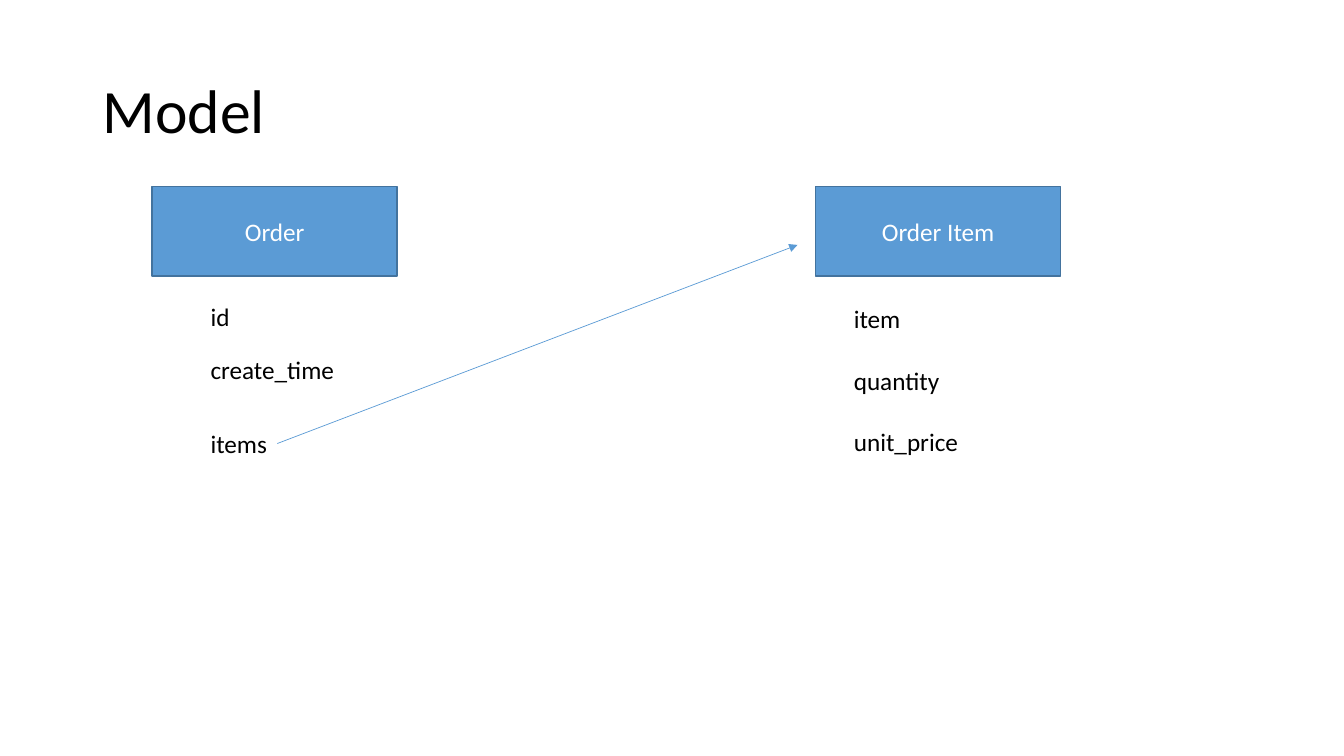
from dataclasses import dataclass
from lxml.etree import SubElement as Sub
from pptx import Presentation
from pptx.dml.color import RGBColor as Rgb
from pptx.enum.shapes import MSO_CONNECTOR as Link, MSO_SHAPE as Kind
from pptx.enum.text import MSO_ANCHOR as Anchor, MSO_AUTO_SIZE as Fit, PP_ALIGN as Align
from pptx.oxml.ns import qn
from pptx.util import Inches, Pt


@dataclass(frozen=True)
class Theme:
    font: str = "Calibri"
    ink: str = "000000"
    white: str = "FFFFFF"
    blue: str = "5B9BD5"
    edge: str = "43739E"
    head: int = 44
    body: int = 18


class Board:
    def __init__(self, slide, theme):
        self.slide = slide
        self.theme = theme

    def add_text(self, frame, text, size, color, align=Align.LEFT):
        para = frame.paragraphs[0]
        para.alignment = align
        run = para.add_run()
        run.text = text
        run.font.name = self.theme.font
        run.font.size = Pt(size)
        run.font.color.rgb = Rgb.from_string(color)
        return para

    def title(self, text, x, y, w, h):
        shape = self.slide.shapes.title
        shape.left, shape.top = Inches(x), Inches(y)
        shape.width, shape.height = Inches(w), Inches(h)
        frame = shape.text_frame
        frame.vertical_anchor = Anchor.MIDDLE
        para = self.add_text(frame, text, self.theme.head, self.theme.ink)
        para.line_spacing = 0.9

    def box(self, text, x, y, w, h):
        shape = self.slide.shapes.add_shape(
            Kind.RECTANGLE, Inches(x), Inches(y), Inches(w), Inches(h))
        shape.shadow.inherit = False
        shape.fill.solid()
        shape.fill.fore_color.rgb = Rgb.from_string(self.theme.blue)
        shape.line.color.rgb = Rgb.from_string(self.theme.edge)
        shape.line.width = Pt(1)
        frame = shape.text_frame
        frame.vertical_anchor = Anchor.MIDDLE
        self.add_text(frame, text, self.theme.body, self.theme.white, Align.CENTER)

    def label(self, text, x, y, w, h=0.4):
        shape = self.slide.shapes.add_textbox(
            Inches(x), Inches(y), Inches(w), Inches(h))
        frame = shape.text_frame
        frame.word_wrap = False
        frame.auto_size = Fit.SHAPE_TO_FIT_TEXT
        self.add_text(frame, text, self.theme.body, self.theme.ink)

    def arrow(self, x1, y1, x2, y2):
        link = self.slide.shapes.add_connector(
            Link.STRAIGHT, Inches(x1), Inches(y1), Inches(x2), Inches(y2))
        link.line.color.rgb = Rgb.from_string(self.theme.blue)
        link.line.width = Pt(0.5)
        props = link.element.spPr
        Sub(props.find(qn("a:ln")), qn("a:tailEnd"), type="triangle")
        Sub(props, qn("a:effectLst"))


# Entity name, box left, field left, fields as (name, top, width)
MODELS = [
    ("Order", 1.51, 1.99,
     [("id", 2.94, 0.39), ("create_time", 3.47, 1.47), ("items", 4.2, 0.77)]),
    ("Order Item", 8.09, 8.37,
     [("item", 2.96, 0.67), ("quantity", 3.58, 1.06), ("unit_price", 4.18, 1.25)]),
]


def main():
    deck = Presentation()
    deck.slide_width, deck.slide_height = Inches(13.33), Inches(7.5)
    board = Board(deck.slides.add_slide(deck.slide_layouts[5]), Theme())

    # Title
    board.title("Model", 0.92, 0.4, 11.5, 1.45)

    # Entities with their fields
    for name, left, indent, fields in MODELS:
        board.box(name, left, 1.85, 2.43, 0.89)
        for field, top, width in fields:
            board.label(field, indent, top, width)

    # Reference from items to the order item
    board.arrow(2.75, 4.4, 7.91, 2.43)

    deck.save("out.pptx")


if __name__ == "__main__":
    main()
